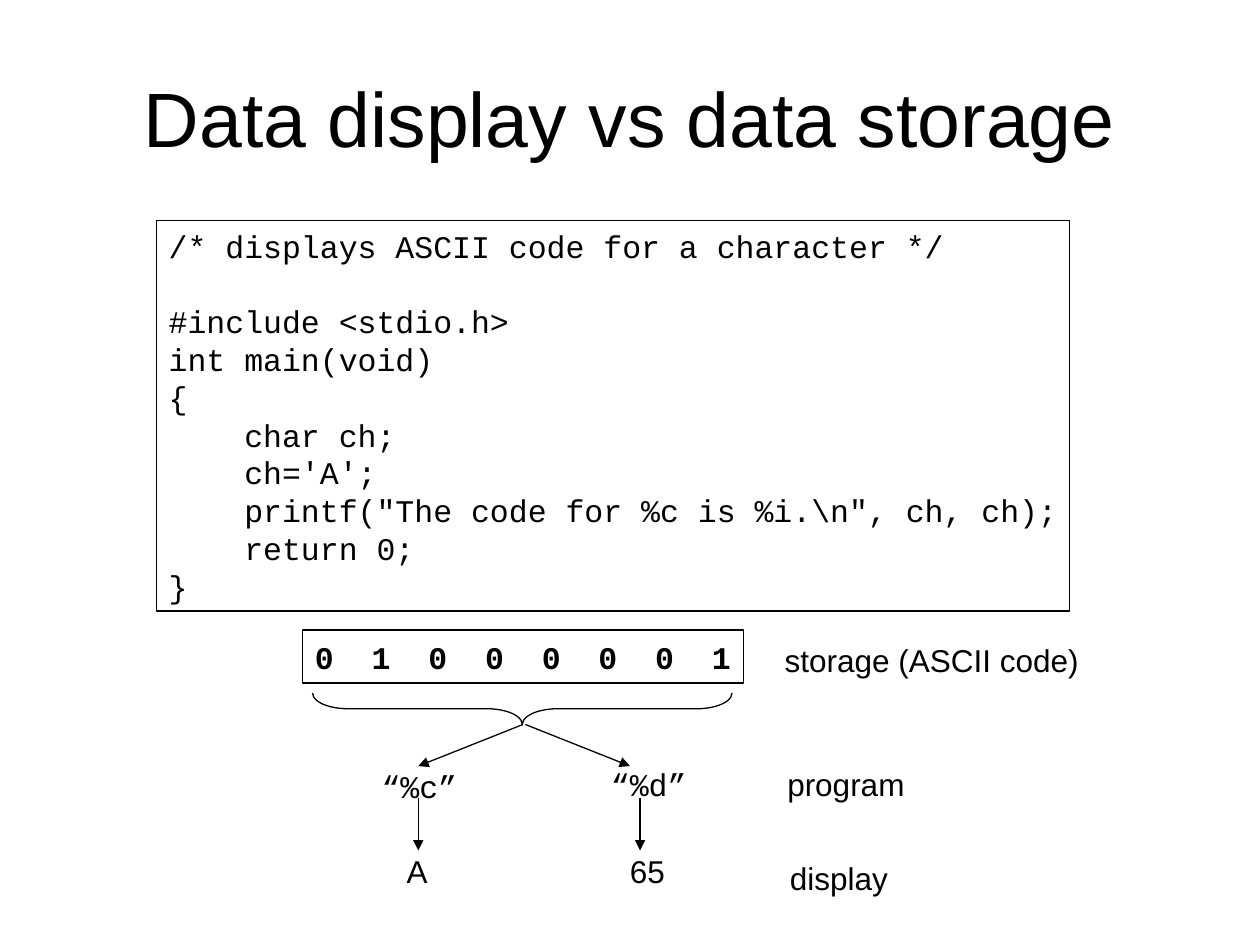
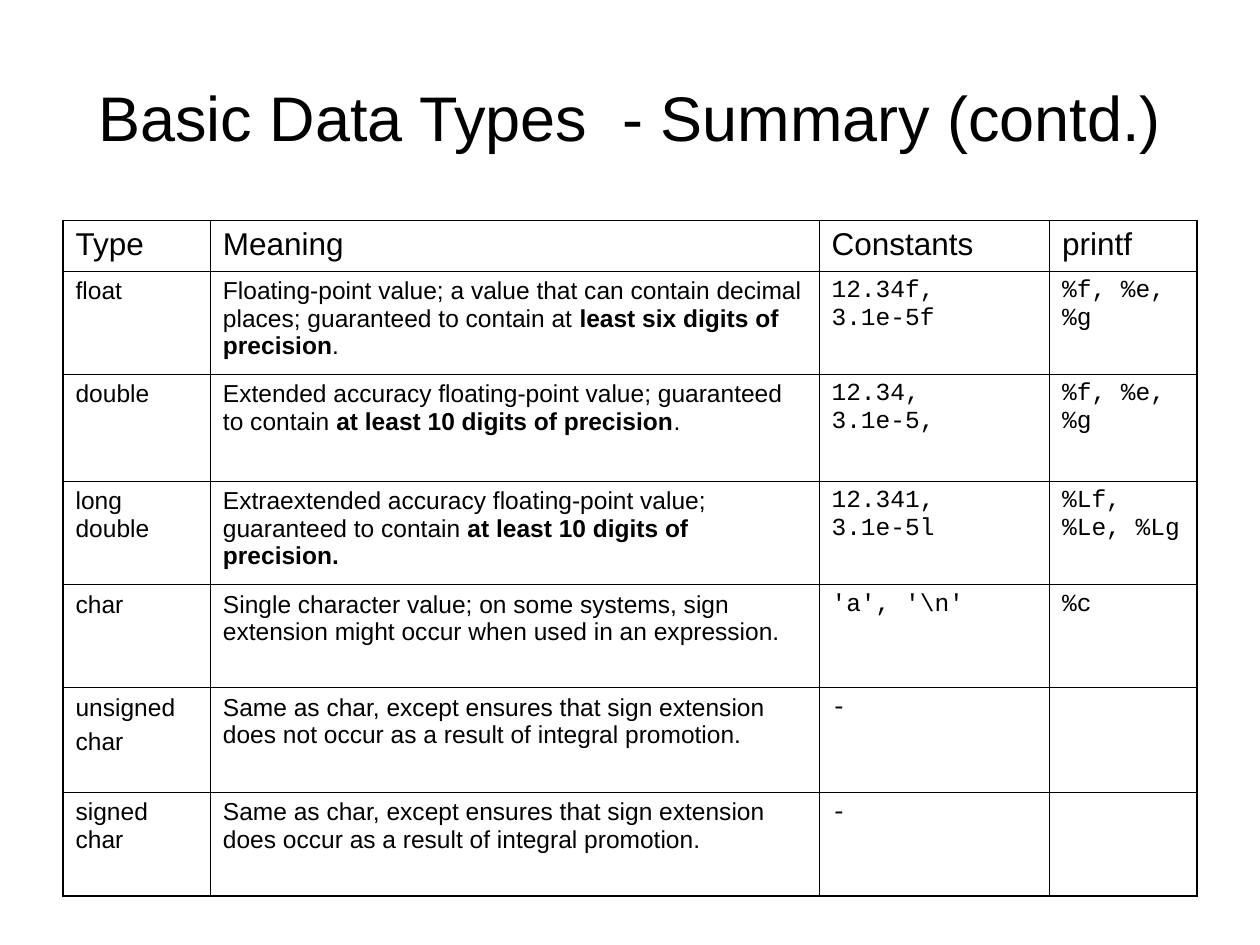
from lxml import etree
from pptx import Presentation
from pptx.dml.color import RGBColor
from pptx.enum.dml import MSO_LINE
from pptx.enum.shapes import MSO_CONNECTOR, MSO_SHAPE as SHAPE
from pptx.enum.text import MSO_ANCHOR as ANCHOR, MSO_AUTO_SIZE as AUTO, PP_ALIGN as ALIGN
from pptx.oxml import parse_xml
from pptx.oxml.ns import nsdecls, qn
from pptx.util import Inches, Pt

# Shared style
INK = "000000"
SANS, MONO = "Arial", "Courier New"
TEXT_SIZE, CELL_SIZE = 18, 14
LEADING = 21.6
THIN = 0.75
CELL_LINE, OUTER_LINE = 0.45, 1.08

# The slide is a grid of square cells: 10 columns by 7.5 rows
COLS, ROWS = 10, 7.5
CELL = Inches(1)
CODE_INDENT = 0.6

CODE = [
    # (indent level, space before in points, text)
    (0, 0, "/* displays ASCII code for a character */"),
    (0, LEADING, "#include <stdio.h>"),
    (0, 0, "int main(void)"),
    (0, 0, "{"),
    (1, 0, "char ch;"),
    (1, 0, "ch='A';"),
    (1, 0, 'printf("The code for %c is %i.\\n", ch, ch);'),
    (1, 0, "return 0;"),
    (0, 0, "}"),
]

# Paragraphs are split at line ends, bold words are marked with *
HEADER = ["Type", "Meaning", "Constants", "printf"]
TYPES = [
    ["float",
     "Floating-point value; a value that can contain decimal places; "
     "guaranteed to contain at *least six digits of precision*.",
     "12.34f, 3.1e-5f", "%f, %e, %g"],
    ["double",
     "Extended accuracy floating-point value; guaranteed to contain "
     "*at least 10 digits of precision*.",
     "12.34, 3.1e-5,", "%f, %e, %g"],
    ["long double",
     "Extraextended accuracy floating-point value; guaranteed to contain "
     "*at least 10 digits of precision.*",
     "12.341, 3.1e-5l", "%Lf, %Le, %Lg"],
    ["char",
     "Single character value; on some systems, sign extension might occur "
     "when used in an expression.",
     "'a', '\\n'", "%c"],
    ["unsigned\nchar",
     "Same as char, except ensures that sign extension does not occur "
     "as a result of integral promotion.",
     "-", ""],
    ["signed char",
     "Same as char, except ensures that sign extension does occur "
     "as a result of integral promotion.",
     "-", ""],
]
COL_WIDTHS = [1.17, 4.83, 1.83, 1.17]
ROW_HEIGHTS = [0.4, 0.82, 0.85, 0.82, 0.82, 0.83, 0.82]


def rgb(color):
    return RGBColor.from_string(color)


def grid(*cells):
    return [int(n * CELL) for n in cells]


def add_run(p, text, size=TEXT_SIZE, font=SANS, bold=False):
    r = p.add_run()
    r.text = text
    r.font.size, r.font.name, r.font.bold = Pt(size), font, bold
    r.font.color.rgb = rgb(INK)


def set_frame(tf, anchor=ANCHOR.TOP):
    tf.word_wrap = False
    tf.auto_size = AUTO.NONE
    tf.vertical_anchor = anchor


def add_title(prs, text, size):
    s = prs.slides.add_slide(prs.slide_layouts[5])
    sp = s.shapes.title
    sp.left, sp.top, sp.width, sp.height = grid(0.5, 0.3, COLS - 1, 1.25)
    tf = sp.text_frame
    tf.auto_size = AUTO.NONE
    tf.vertical_anchor = ANCHOR.MIDDLE
    p = tf.paragraphs[0]
    p.alignment = ALIGN.CENTER
    add_run(p, text, size)
    return s


def add_label(s, x, y, w, text, font=SANS):
    tf = s.shapes.add_textbox(*grid(x, y, w, 0.4)).text_frame
    set_frame(tf)
    p = tf.paragraphs[0]
    p.line_spacing = Pt(LEADING)
    add_run(p, text, font=font)


def add_outline(s, kind, x, y, w, h):
    sp = s.shapes.add_shape(kind, *grid(x, y, w, h))
    sp.shadow.inherit = False
    sp.fill.background()
    sp.line.color.rgb = rgb(INK)
    sp.line.width = Pt(THIN)
    return sp


def add_code(s, x, y, w, h):
    tf = add_outline(s, SHAPE.RECTANGLE, x, y, w, h).text_frame
    set_frame(tf)
    for i, (level, before, text) in enumerate(CODE):
        p = tf.add_paragraph() if i else tf.paragraphs[0]
        p.alignment = ALIGN.LEFT
        p.line_spacing = Pt(LEADING)
        p.space_before = Pt(before)
        if level:
            p._p.get_or_add_pPr().set("marL", str(Inches(level * CODE_INDENT)))
        add_run(p, text, font=MONO)


def add_bits(s, x, y, w, h, bits):
    tf = add_outline(s, SHAPE.RECTANGLE, x, y, w, h).text_frame
    set_frame(tf, ANCHOR.MIDDLE)
    p = tf.paragraphs[0]
    p.alignment = ALIGN.CENTER
    p.line_spacing = Pt(LEADING)
    add_run(p, "  ".join(bits), font=MONO, bold=True)


def add_brace_below(s, x, y, w, h):
    # A right brace turned a quarter: its own box is h wide and w high
    sp = add_outline(s, SHAPE.RIGHT_BRACE, x + (w - h) / 2, y - (w - h) / 2, h, w)
    sp.rotation = 90
    sp.adjustments[0] = 1.12


def add_arrow(s, x1, y1, x2, y2):
    cx = s.shapes.add_connector(MSO_CONNECTOR.STRAIGHT, *grid(x1, y1, x2, y2))
    cx.line.color.rgb = rgb(INK)
    cx.line.width = Pt(THIN)
    cx.line.dash_style = MSO_LINE.SOLID
    etree.SubElement(cx.line._get_or_add_ln(), qn("a:tailEnd"), type="triangle")
    etree.SubElement(cx._element.spPr, qn("a:effectLst"))


def set_borders(cell, widths):
    tcPr = cell._tc.get_or_add_tcPr()
    for i, (side, width) in enumerate(widths.items()):
        tcPr.insert(i, parse_xml(
            f'<a:ln{side} {nsdecls("a")} w="{Pt(width)}"><a:solidFill>'
            f'<a:srgbClr val="{INK}"/></a:solidFill></a:ln{side}>'))


def fill_cell(cell, text, size, font, before):
    cell.fill.background()
    tf = cell.text_frame
    for i, line in enumerate(text.split("\n")):
        p = tf.add_paragraph() if i else tf.paragraphs[0]
        p.space_before = Pt(before)
        for j, part in enumerate(line.split("*")):
            if part:
                add_run(p, part, size, font, bold=j % 2 == 1)


def add_type_table(s, x, y):
    rows = [HEADER] + TYPES
    last_row, last_col = len(rows) - 1, len(HEADER) - 1
    size = grid(sum(COL_WIDTHS), sum(ROW_HEIGHTS))
    tbl = s.shapes.add_table(len(rows), len(HEADER), *grid(x, y), *size).table
    tbl.first_row = tbl.horz_banding = False
    for col, width in zip(tbl.columns, COL_WIDTHS):
        col.width = Inches(width)
    for row, height in zip(tbl.rows, ROW_HEIGHTS):
        row.height = Inches(height)
    for i, texts in enumerate(rows):
        for j, text in enumerate(texts):
            cell = tbl.cell(i, j)
            if i == 0:
                fill_cell(cell, text, TEXT_SIZE, SANS, 4.5)
            else:
                fill_cell(cell, text, CELL_SIZE, SANS if j < 2 else MONO, 3.5)
            at_edge = {"L": j == 0, "R": j == last_col,
                       "T": i == 0, "B": i == last_row}
            set_borders(cell, {side: OUTER_LINE if edge else CELL_LINE
                               for side, edge in at_edge.items()})


def build_storage_slide(prs):
    s = add_title(prs, "Data display vs data storage", 44)
    add_code(s, 1.24, 1.75, 7.25, 3.1)

    # Stored byte and the brace under it
    add_bits(s, 2.4, 5, 3.5, 0.42, "01000001")
    add_brace_below(s, 2.48, 5.5, 3.33, 0.25)

    # Names of the three stages
    add_label(s, 6.13, 5.04, 2.53, "storage (ASCII code)")
    add_label(s, 6.15, 6.02, 1.13, "program")
    add_label(s, 6.17, 6.77, 0.98, "display")

    # Two branches: brace tip, format, shown value
    branches = [
        # start x, arrow head x, down x, format (x, y, text), value (x, w, text)
        (4.15, 3.32, 3.32, (2.93, 6.04, "“%c”"), (3.13, 0.36, "A")),
        (4.17, 5, 5.08, (4.75, 6.02, "“%d”"), (4.9, 0.48, "65")),
    ]
    for tip, head, down, (fx, fy, fmt), (vx, vw, value) in branches:
        add_label(s, fx, fy, 0.8, fmt, MONO)
        add_label(s, vx, 6.71, vw, value)
        add_arrow(s, tip, 5.75, head, 6.08)
        add_arrow(s, down, 6.33, down, 6.75)


def build_types_slide(prs):
    s = add_title(prs, "Basic Data Types  - Summary (contd.)", 36)
    add_type_table(s, 0.5, 1.75)


def main():
    prs = Presentation()
    prs.slide_width, prs.slide_height = grid(COLS, ROWS)
    build_storage_slide(prs)
    build_types_slide(prs)
    prs.save("out.pptx")


if __name__ == "__main__":
    main()
